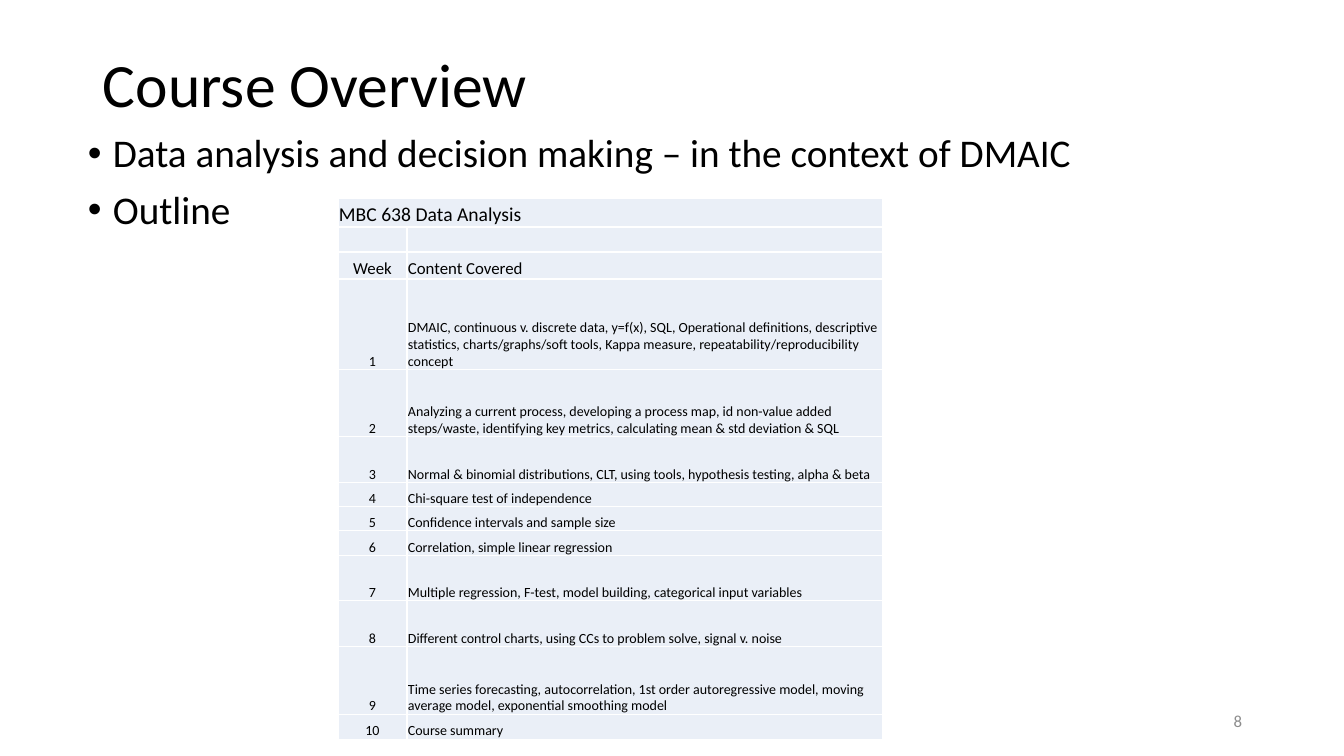
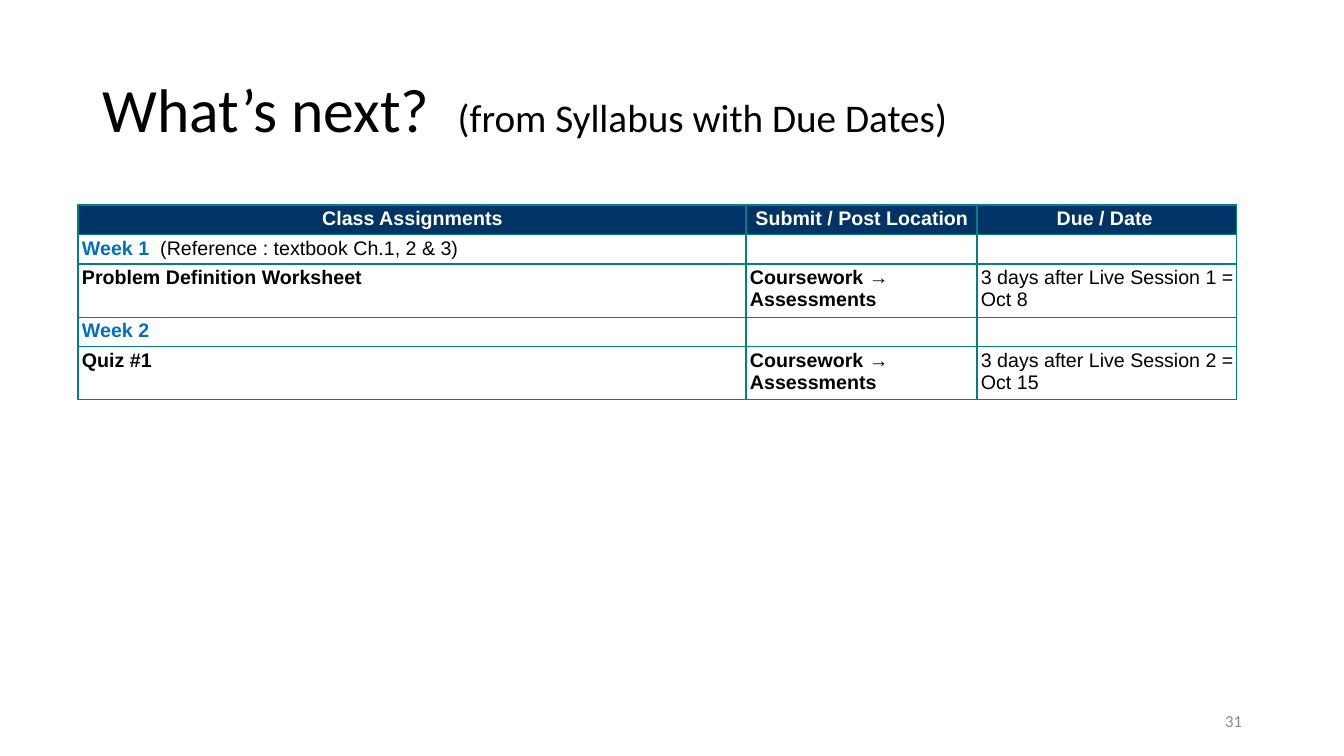
from lxml import etree
from pptx import Presentation
from pptx import util as u
from pptx.dml.color import RGBColor
from pptx.enum import text
from pptx.oxml.ns import qn

LEFT, CENTER, RIGHT = text.PP_ALIGN.LEFT, text.PP_ALIGN.CENTER, text.PP_ALIGN.RIGHT
TOP, MIDDLE, BOTTOM = text.MSO_ANCHOR.TOP, text.MSO_ANCHOR.MIDDLE, text.MSO_ANCHOR.BOTTOM
BLACK, WHITE, GREY = "000000", "FFFFFF", "8C8C8C"
PALE, NAVY, TEAL, BLUE = "EAEFF7", "003366", "008080", "0070C0"


def px(n):
    return u.Emu(round(n * 914400 / 100.8))


def rgb(value):
    return RGBColor.from_string(value)


def write(p, content, size=14, font="Calibri", color=BLACK, bold=False,
          align=LEFT, spacing=None, before=None):
    p.alignment = align
    if spacing:
        p.line_spacing = spacing
    if before:
        p.space_before = u.Pt(before)
    runs = [(content, {})] if isinstance(content, str) else content
    for words, own in runs:
        style = {"size": size, "color": color, "bold": bold, **own}
        r = p.add_run()
        r.text = words
        r.font.name = font
        r.font.size = u.Pt(style["size"])
        r.font.bold = style["bold"]
        r.font.color.rgb = rgb(style["color"])
    if not runs:
        etree.SubElement(p._p, qn("a:endParaRPr"), sz=str(size * 100))


def outline(cell, color):
    tcPr = cell._tc.get_or_add_tcPr()
    for i, side in enumerate(("a:lnL", "a:lnR", "a:lnT", "a:lnB")):
        ln = etree.Element(qn(side), w=str(u.Pt(1)))
        fill = etree.SubElement(ln, qn("a:solidFill"))
        etree.SubElement(fill, qn("a:srgbClr"), val=color)
        tcPr.insert(i, ln)


class Deck:
    def __init__(self):
        self.prs = Presentation()
        self.prs.slide_width, self.prs.slide_height = px(1344), px(756)
        self.s = None

    def slide(self, title, number, top):
        self.s = self.prs.slides.add_slide(self.prs.slide_layouts[6])
        tf = self.box(93, top, 1159, 146, MIDDLE)
        write(tf.paragraphs[0], title, size=44, spacing=0.9)
        tf = self.box(950, 701, 302, 40, MIDDLE)
        write(tf.paragraphs[0], str(number), size=12, color=GREY, align=RIGHT)

    def box(self, x, y, w, h, anchor=TOP):
        tf = self.s.shapes.add_textbox(px(x), px(y), px(w), px(h)).text_frame
        tf.word_wrap = True
        tf.vertical_anchor = anchor
        return tf

    def bullets(self, x, y, w, h, items):
        tf = self.box(x, y, w, h)
        for i, item in enumerate(items):
            p = tf.add_paragraph() if i else tf.paragraphs[0]
            write(p, item, size=28, spacing=0.9, before=10)
            pPr = p._p.get_or_add_pPr()
            pPr.set("marL", str(px(25)))
            pPr.set("indent", str(-px(25)))
            etree.SubElement(pPr, qn("a:buFont"), typeface="Arial")
            etree.SubElement(pPr, qn("a:buChar"), char="•")

    def table(self, x, y, widths, heights, rows, border, insets, anchor, look):
        frame = self.s.shapes.add_table(len(rows), len(widths), px(x), px(y),
                                        px(sum(widths)), px(sum(heights)))
        tbl = frame.table
        tbl.first_row = tbl.horz_banding = False
        for col, w in zip(tbl.columns, widths):
            col.width = px(w)
        for row, h in zip(tbl.rows, heights):
            row.height = px(h)
        for i, row in enumerate(rows):
            for j, content in enumerate(row):
                cell = tbl.cell(i, j)
                fill, style = look(i, j)
                if fill:
                    cell.fill.solid()
                    cell.fill.fore_color.rgb = rgb(fill)
                else:
                    cell.fill.background()
                outline(cell, border)
                cell.vertical_anchor = anchor
                (cell.margin_left, cell.margin_top,
                 cell.margin_right, cell.margin_bottom) = map(px, insets)
                write(cell.text_frame.paragraphs[0], content or [], **style)
        return tbl


def outline_look(i, j):
    size = {0: 14, 2: 12}.get(i, 10)
    return PALE, {"size": size, "align": CENTER if i and j == 0 else LEFT}


def assignment_look(i, j):
    if i == 0:
        return NAVY, {"font": "Arial", "color": WHITE, "bold": True, "align": CENTER}
    return None, {"font": "Arial", "bold": j < 2}


def course_overview(deck):
    deck.slide("Course Overview", 8, 15)
    deck.bullets(78, 129, 1174, 572, [
        "Data analysis and decision making – in the context of DMAIC",
        "Outline",
    ])
    weeks = [
        "DMAIC, continuous v. discrete data, y=f(x), SQL, Operational definitions, "
        "descriptive statistics, charts/graphs/soft tools, Kappa measure, "
        "repeatability/reproducibility concept",
        "Analyzing a current process, developing a process map, id non-value added "
        "steps/waste, identifying key metrics, calculating mean & std deviation & SQL",
        "Normal & binomial distributions, CLT, using tools, hypothesis testing, alpha & beta",
        "Chi-square test of independence",
        "Confidence intervals and sample size",
        "Correlation, simple linear regression",
        "Multiple regression, F-test, model building, categorical input variables",
        "Different control charts, using CCs to problem solve, signal v. noise",
        "Time series forecasting, autocorrelation, 1st order autoregressive model, "
        "moving average model, exponential smoothing model",
        "Course summary",
    ]
    rows = [("MBC 638 Data Analysis", ""), ("", ""), ("Week", "Content Covered")]
    rows += [(str(n), topic) for n, topic in enumerate(weeks, 1)]
    heights = [29, 25, 27, 91, 67, 46, 24, 24, 25, 45, 46, 68, 25]
    tbl = deck.table(338, 198, [69, 476], heights, rows, WHITE,
                     (1, 1, 1, 0), BOTTOM, outline_look)
    tbl.cell(0, 0).merge(tbl.cell(0, 1))


def whats_next(deck):
    deck.slide([("What’s next?  ", {}),
                ("(from Syllabus with Due Dates)", {"size": 28})], 31, 40)
    place = "Coursework → Assessments"
    week = {"color": BLUE}
    rows = [
        ("Class Assignments", "Submit / Post Location", "Due / Date "),
        ([("Week 1  ", week),
          ("(Reference : textbook Ch.1, 2 & 3)", {"bold": False})], "", ""),
        ("Problem Definition Worksheet", place, "3 days after Live Session 1 = Oct 8"),
        ([("Week 2", week)], "", ""),
        ("Quiz #1", place, "3 days after Live Session 2 = Oct 15"),
    ]
    deck.table(78, 205, [668, 231, 260], [29, 29, 51, 29, 52], rows, TEAL,
               (4, 3, 3, 3), TOP, assignment_look)


def main():
    deck = Deck()
    course_overview(deck)
    whats_next(deck)
    deck.prs.save("out.pptx")


if __name__ == "__main__":
    main()
